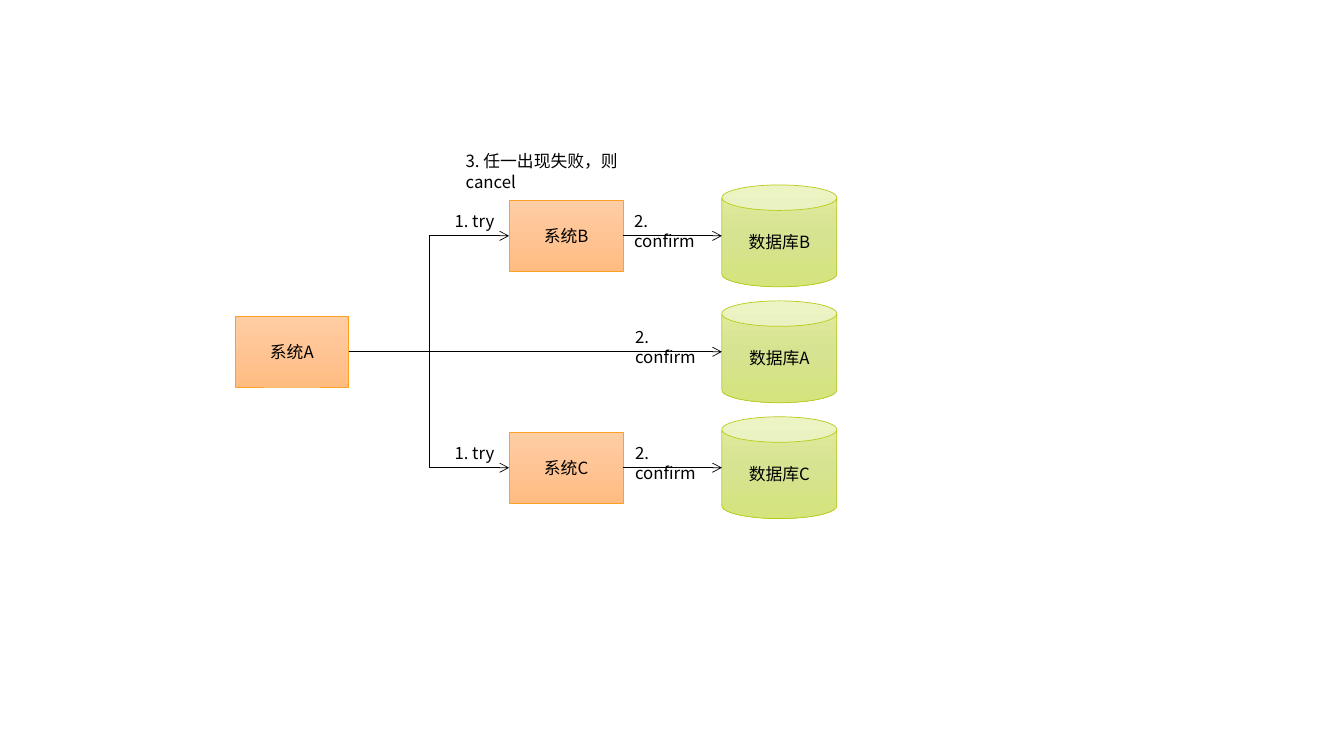
from lxml import etree
from pptx import Presentation
from pptx.dml.color import RGBColor
from pptx.enum import shapes, text
from pptx.oxml.ns import qn
from pptx.util import Inches, Pt

FONT = "Noto Sans CJK SC"
ORANGE = ("FFCDA3", "FFC494", "FFBC81")
GREEN = ("E1ED9E", "D6E391", "D5E47C")
ROWS = {"B": 2.34, "A": 3.49, "C": 4.64}  # centre line of each row
DB_LEFT = 7.16


def rgb(color):
    return RGBColor.from_string(color)


def write(tf, content, size=12, color="000000", align=text.PP_ALIGN.LEFT,
          anchor=text.MSO_ANCHOR.TOP):
    tf.word_wrap = True
    tf.vertical_anchor = anchor
    p = tf.paragraphs[0]
    p.alignment = align
    r = p.add_run()
    r.text = content
    r.font.size = Pt(size)
    r.font.name = FONT
    r.font.color.rgb = rgb(color)
    etree.SubElement(r.font._element, qn("a:ea"), typeface=FONT)


def set_gradient(sp, colors):
    sp.fill.gradient()
    sp.fill.gradient_angle = 270
    stops = sp._element.spPr.find(qn("a:gradFill")).find(qn("a:gsLst"))
    for old in list(stops):
        stops.remove(old)
    for i, color in enumerate(colors):
        gs = etree.SubElement(stops, qn("a:gs"), pos=str(i * 50000))
        etree.SubElement(gs, qn("a:srgbClr"), val=color)


def add_node(s, kind, label, left, middle, width, height, colors, line):
    sp = s.shapes.add_shape(kind, Inches(left), Inches(middle - height / 2),
                            Inches(width), Inches(height))
    sp.shadow.inherit = False
    set_gradient(sp, colors)
    sp.line.color.rgb = rgb(line)
    sp.line.width = Pt(0.5)
    write(sp.text_frame, label, align=text.PP_ALIGN.CENTER,
          anchor=text.MSO_ANCHOR.MIDDLE)
    return sp


def add_system(s, name, left):
    return add_node(s, shapes.MSO_SHAPE.RECTANGLE, "系统" + name, left,
                    ROWS[name], 1.13, 0.7, ORANGE, "FDA023")


def add_database(s, name):
    return add_node(s, shapes.MSO_SHAPE.CAN, "数据库" + name, DB_LEFT,
                    ROWS[name], 1.14, 1.01, GREEN, "B9CA1A")


def add_arrow(s, kind, source, end, target=None):
    x, y = (Inches(v) for v in end)
    cx = s.shapes.add_connector(kind, source.left + source.width,
                                source.top + source.height // 2, x, y)
    cx.begin_connect(source, 3)
    if target is not None:
        cx.end_connect(target, 1)
    cx.line.color.rgb = rgb("000000")
    cx.line.width = Pt(0.5)
    etree.SubElement(cx.line._get_or_add_ln(), qn("a:tailEnd"), type="arrow")
    etree.SubElement(cx._element.spPr, qn("a:effectLst"))


def add_label(s, content, left, top, width):
    box = s.shapes.add_textbox(Inches(left), Inches(top), Inches(width), Inches(0.3))
    write(box.text_frame, content)


def main():
    prs = Presentation()
    prs.slide_width, prs.slide_height = Inches(13.33), Inches(7.5)
    s = prs.slides.add_slide(prs.slide_layouts[6])

    # Systems and databases
    systems = {name: add_system(s, name, left)
               for name, left in (("A", 2.33), ("B", 5.05), ("C", 5.05))}
    for name in ROWS:
        add_database(s, name)

    # Confirm arrows to the databases
    for name, middle in ROWS.items():
        add_arrow(s, shapes.MSO_CONNECTOR.STRAIGHT, systems[name], (DB_LEFT, middle))
        add_label(s, "2. confirm", 6.19 if name == "B" else 6.2, middle - 0.3, 0.96)

    # Try arrows from system A
    for name in "BC":
        add_arrow(s, shapes.MSO_CONNECTOR.ELBOW, systems["A"], (5.05, ROWS[name]),
                  systems[name])
        add_label(s, "1. try", 4.41, ROWS[name] - 0.3, 0.64)

    # Cancel rule
    add_label(s, "3. 任一出现失败，则cancel", 4.52, 1.45, 2.19)

    prs.save("out.pptx")


if __name__ == "__main__":
    main()
